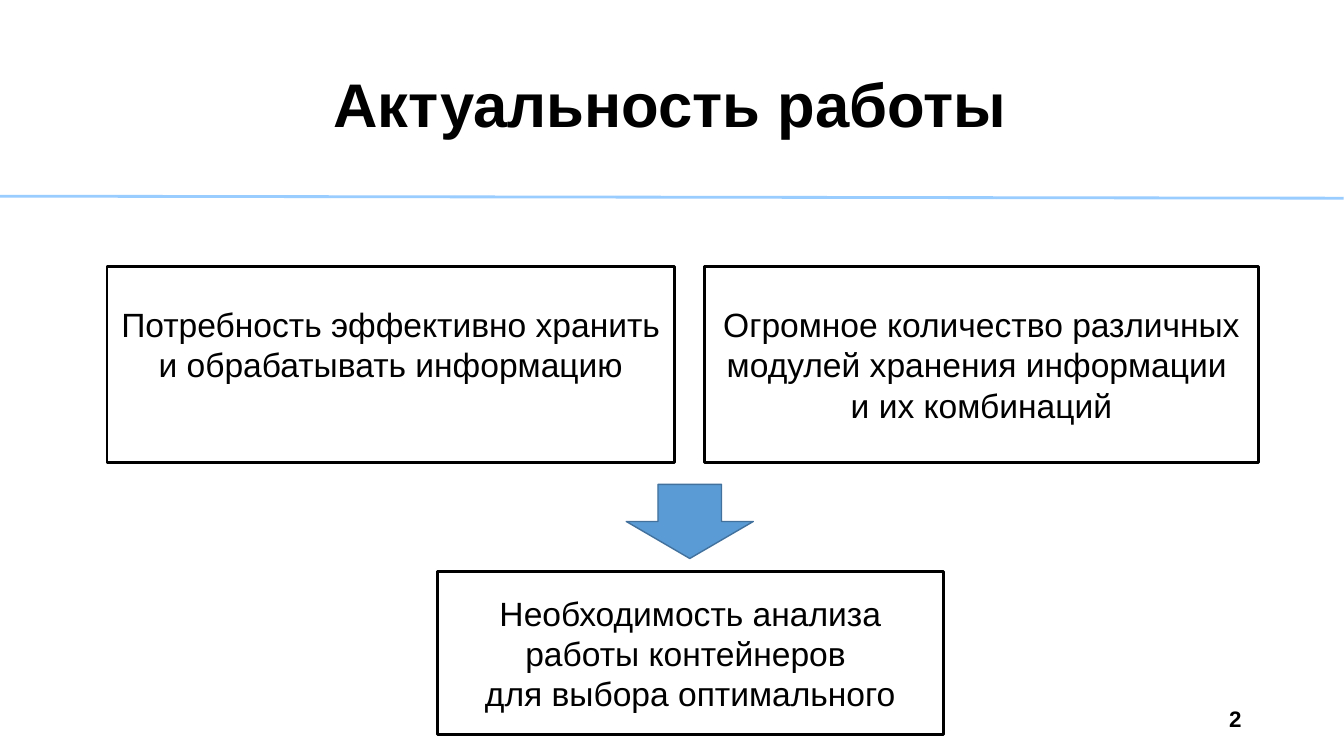
from pptx import Presentation
from pptx.dml.color import RGBColor
from pptx.enum.shapes import MSO_CONNECTOR, MSO_SHAPE
from pptx.enum.text import MSO_ANCHOR, MSO_AUTO_SIZE, PP_ALIGN
from pptx.oxml.ns import qn
from pptx.util import Inches, Pt
from lxml.etree import SubElement

COLORS = {"black": "000000", "white": "FFFFFF", "rule": "99CCFF",
          "arrow": "5B9BD5", "arrow edge": "41719C"}
FONT = "Arial"
PX = 9080  # EMU per pixel

TITLE = ("Актуальность работы", (35, 34, 1270, 146))
PAGE_NUMBER = ("2", (949, 700, 302, 40))
RULE = (1343, 198, 0, 196)
ARROW = (626, 484, 127, 74)
# paragraphs, (left, top, width, height), bottom inset
STATEMENTS = [
    (["Потребность эффективно хранить и\u00a0обрабатывать информацию"],
     (107, 266, 567, 196), 45),
    (["Огромное количество различных модулей хранения информации ",
      "и\u00a0их комбинаций"],
     (704, 266, 554, 196), 5),
    (["Необходимость анализа работы контейнеров ", "для выбора оптимального"],
     (437, 571, 506, 163), 5),
]


def px(*lengths):
    return [length * PX for length in lengths]


def color(name):
    return RGBColor.from_string(COLORS[name])


def write(shape, paragraphs, size, bold=False, align=PP_ALIGN.CENTER,
          spacing=1.0, bottom=5):
    frame = shape.text_frame
    frame.word_wrap = True
    frame.auto_size = MSO_AUTO_SIZE.NONE
    frame.vertical_anchor = MSO_ANCHOR.MIDDLE
    frame.margin_left, frame.margin_top, frame.margin_right, frame.margin_bottom = px(
        10, 5, 10, bottom)
    frame.text = "\n".join(paragraphs)
    for paragraph in frame.paragraphs:
        paragraph.alignment = align
        paragraph.line_spacing = spacing
        for run in paragraph.runs:
            run.font.name = FONT
            run.font.size = Pt(size)
            run.font.bold = bold
            run.font.color.rgb = color("black")


def add_block(slide, preset, place, fill, edge, weight):
    block = slide.shapes.add_shape(preset, *px(*place))
    block.shadow.inherit = False
    block.fill.solid()
    block.fill.fore_color.rgb = color(fill)
    block.line.color.rgb = color(edge)
    block.line.width = Pt(weight)
    return block


def main():
    deck = Presentation()
    deck.slide_width, deck.slide_height = Inches(13.34), Inches(7.5)
    slide = deck.slides.add_slide(deck.slide_layouts[5])

    heading, place = TITLE
    title = slide.shapes.title
    title.left, title.top, title.width, title.height = px(*place)
    write(title, [heading], 44, bold=True, spacing=0.9)

    rule = slide.shapes.add_connector(MSO_CONNECTOR.STRAIGHT, *px(*RULE))
    rule.line.color.rgb = color("rule")
    rule.line.width = Pt(2)
    SubElement(rule._element.spPr, qn("a:effectLst"))

    for paragraphs, place, bottom in STATEMENTS:
        box = add_block(slide, MSO_SHAPE.RECTANGLE, place, "white", "black", 2)
        write(box, paragraphs, 24, bottom=bottom)

    number, place = PAGE_NUMBER
    write(slide.shapes.add_textbox(*px(*place)), [number], 16, bold=True,
          align=PP_ALIGN.RIGHT, spacing=0.8)

    add_block(slide, MSO_SHAPE.DOWN_ARROW, ARROW, "arrow", "arrow edge", 1)
    deck.save("out.pptx")


if __name__ == "__main__":
    main()
